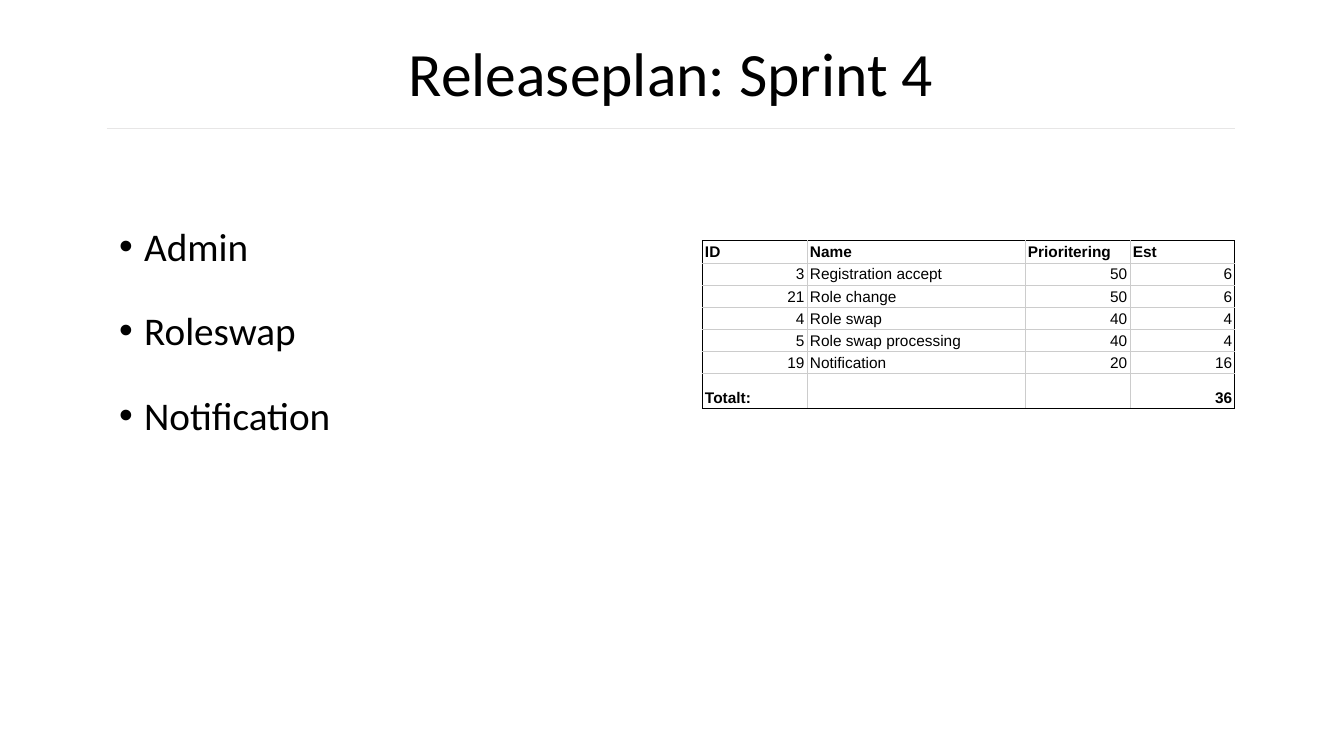
from lxml.etree import SubElement
from pptx import Presentation
from pptx.dml.color import RGBColor
from pptx.enum.shapes import MSO_CONNECTOR as Connector
from pptx.enum.text import MSO_ANCHOR as Anchor, MSO_AUTO_SIZE as AutoSize, PP_ALIGN as Align
from pptx.oxml.ns import qn
from pptx.util import Pt

TITLE = "Releaseplan: Sprint 4"
GOALS = ["Admin", "Roleswap", "Notification"]
STORIES = [
    ("ID", "Name", "Prioritering", "Est"),
    (3, "Registration accept", 50, 6),
    (21, "Role change", 50, 6),
    (4, "Role swap", 40, 4),
    (5, "Role swap processing", 40, 4),
    (19, "Notification", 20, 16),
    ("Totalt:", "", "", 36),
]
COLORS = {"text": "000000", "rule": "E7E6E6", "grid": "CCCCCC", "frame": "000000"}

TITLE_BOX = (65.5, 2.2, 828, 104.4)
GOALS_BOX = (77.8, 138.2, 573, 246.2)
RULE_LEFT, RULE_RIGHT, RULE_TOP = 76.3, 882, 92
TABLE_LEFT, TABLE_TOP = 501.6, 172.1
COLUMNS = [75, 155.6, 75, 75]
ROWS = [15.8] * (len(STORIES) - 1) + [24.8]
BORDER = 0.75
BULLET_INDENT = 18

TITLE_FORMAT = {"alignment": Align.CENTER, "line_spacing": 0.9}
GOAL_FORMAT = {"line_spacing": 1.5, "space_before": Pt(10)}
FRAME_FORMAT = {"word_wrap": True, "auto_size": AutoSize.NONE}
CELL_FORMAT = {
    "vertical_anchor": Anchor.BOTTOM,
    "margin_left": Pt(2), "margin_right": Pt(2),
    "margin_top": Pt(1.4), "margin_bottom": Pt(1.4),
}


def apply(target, values):
    for name, value in values.items():
        setattr(target, name, value)


def write(para, text, size, font, bold=False):
    span = para.add_run()
    span.text = text
    apply(span.font, {"size": Pt(size), "name": font, "bold": bold})
    span.font.color.rgb = RGBColor.from_string(COLORS["text"])


def place(shape, left, top, width, height):
    apply(shape, {"left": Pt(left), "top": Pt(top), "width": Pt(width), "height": Pt(height)})


def add_border(cell, side, color):
    properties = cell._tc.get_or_add_tcPr()
    line = SubElement(properties, qn(f"a:ln{side}"), w=str(Pt(BORDER)))
    fill = SubElement(line, qn("a:solidFill"))
    SubElement(fill, qn("a:srgbClr"), val=color)


deck = Presentation()
apply(deck, {"slide_width": Pt(960), "slide_height": Pt(540)})
page = deck.slides.add_slide(deck.slide_layouts[1])

title, goals = page.placeholders
for box, bounds in ((title, TITLE_BOX), (goals, GOALS_BOX)):
    place(box, *bounds)
    apply(box.text_frame, FRAME_FORMAT)

title.text_frame.vertical_anchor = Anchor.MIDDLE
para = title.text_frame.paragraphs[0]
apply(para, TITLE_FORMAT)
write(para, TITLE, 44, "Calibri")

for index, goal in enumerate(GOALS):
    para = goals.text_frame.add_paragraph() if index else goals.text_frame.paragraphs[0]
    apply(para, GOAL_FORMAT)
    properties = para._p.get_or_add_pPr()
    properties.set("marL", str(Pt(BULLET_INDENT)))
    properties.set("indent", str(-Pt(BULLET_INDENT)))
    SubElement(properties, qn("a:buFont"), typeface="Arial")
    SubElement(properties, qn("a:buChar"), char="•")
    write(para, goal, 28, "Calibri")

rule = page.shapes.add_connector(
    Connector.STRAIGHT, Pt(RULE_LEFT), Pt(RULE_TOP), Pt(RULE_RIGHT), Pt(RULE_TOP))
rule.line.color.rgb = RGBColor.from_string(COLORS["rule"])
rule.line.width = Pt(0.5)
SubElement(rule._element.spPr, qn("a:effectLst"))

table = page.shapes.add_table(
    len(ROWS), len(COLUMNS), Pt(TABLE_LEFT), Pt(TABLE_TOP),
    Pt(sum(COLUMNS)), Pt(sum(ROWS))).table
apply(table, {"first_row": False, "horz_banding": False})
for column, width in zip(table.columns, COLUMNS):
    column.width = Pt(width)
for row, height in zip(table.rows, ROWS):
    row.height = Pt(height)

last_row, last_column = len(ROWS) - 1, len(COLUMNS) - 1
for row, story in enumerate(STORIES):
    for column, value in enumerate(story):
        cell = table.cell(row, column)
        apply(cell, CELL_FORMAT)
        outer = {"L": column == 0, "R": column == last_column,
                 "T": row == 0, "B": row == last_row}
        for side, is_outer in outer.items():
            add_border(cell, side, COLORS["frame" if is_outer else "grid"])
        cell.fill.background()
        if value != "":
            para = cell.text_frame.paragraphs[0]
            para.alignment = Align.RIGHT if isinstance(value, int) else Align.LEFT
            write(para, str(value), 11, "Arial", row in (0, last_row))

deck.save("out.pptx")
